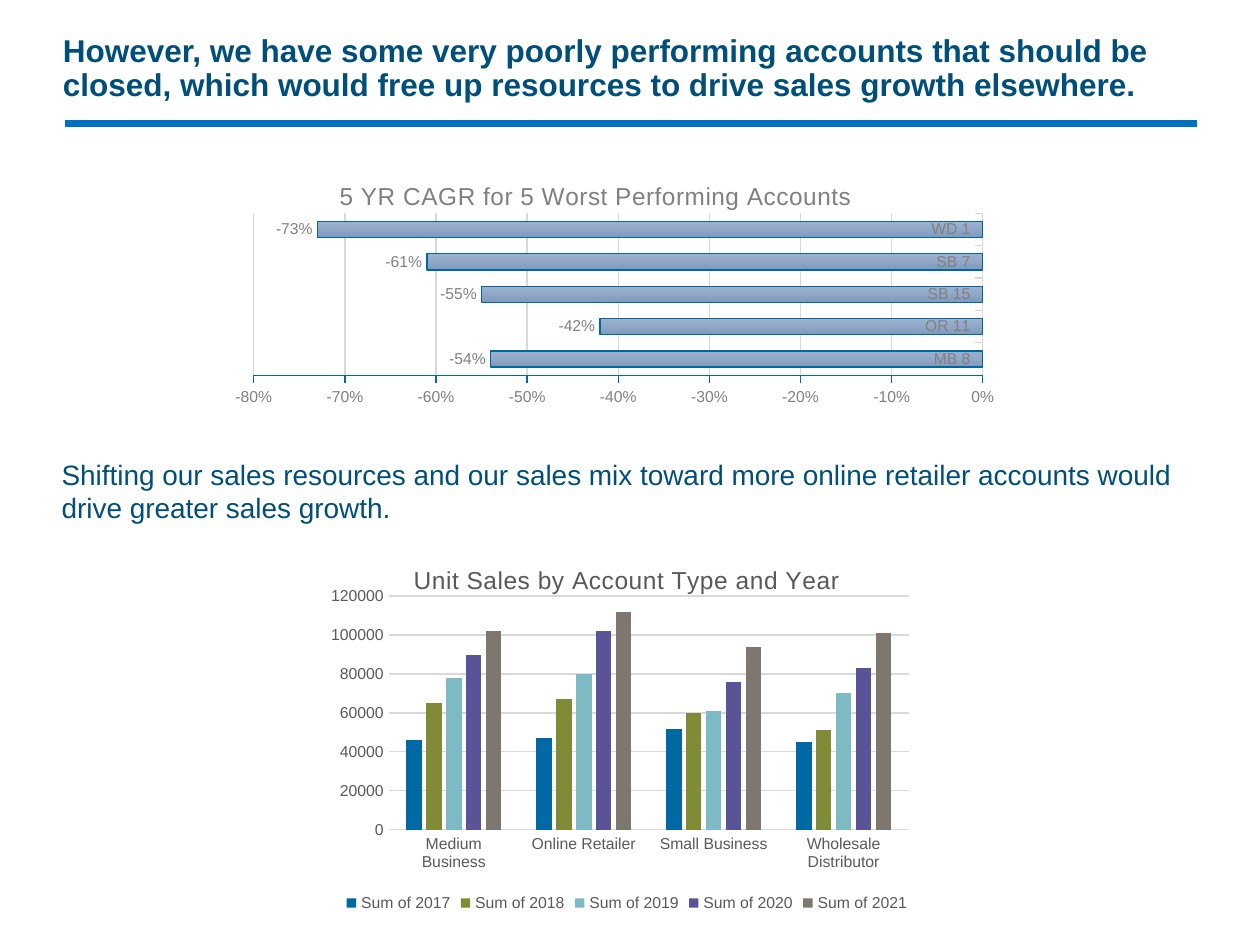
import copy

import lxml.etree
import pptx
import pptx.chart.data
import pptx.dml.color
import pptx.enum.chart
import pptx.enum.shapes
import pptx.enum.text
import pptx.oxml.ns
import pptx.util

Inches, Pt = pptx.util.Inches, pptx.util.Pt
qn = pptx.oxml.ns.qn
kinds = pptx.enum.chart

# Content
TEXTS = [
    dict(text="However, we have some very poorly performing accounts that should be closed, "
              "which would free up resources to drive sales growth elsewhere.",
         at=(0.5, 0.29, 9, 0.52), style="heading", inset=0, anchor="MIDDLE", spacing=0.9),
    dict(text="Shifting our sales resources and our sales mix toward more online retailer "
              "accounts would drive greater sales growth.",
         at=(0.39, 3.58, 9.21, 1.35), style="body", inset=0.1, anchor="TOP", spacing=1.0),
]
CAGR = dict(
    title="5 YR CAGR for 5 Worst Performing Accounts",
    kind="BAR_CLUSTERED", at=(1.52, 1.26, 6.37, 2.32), plot=(0.078, 0.187, 0.914, 0.554),
    categories=["MB 8", "OR 11", "SB 15", "SB 7", "WD 1"],
    series={"Series 1": [-0.54, -0.42, -0.55, -0.61, -0.73]},
    scale=dict(minimum_scale=-0.8, maximum_scale=0, major_unit=0.1),
    bars=dict(gap_width=100, overlap=0), tick="OUTSIDE", format="0%", ink="gray")
SALES = dict(
    title="Unit Sales by Account Type and Year",
    kind="COLUMN_CLUSTERED", at=(2.35, 4.33, 5.25, 2.95), plot=(0.14, 0.136, 0.786, 0.629),
    categories=["Medium Business", "Online Retailer", "Small Business", "Wholesale Distributor"],
    series={
        "Sum of 2017": [46000, 47000, 52000, 45000],
        "Sum of 2018": [65000, 67000, 60000, 51000],
        "Sum of 2019": [78000, 80000, 61000, 70000],
        "Sum of 2020": [90000, 102000, 76000, 83000],
        "Sum of 2021": [102000, 112000, 94000, 101000],
    },
    scale=dict(minimum_scale=0, maximum_scale=120000, major_unit=20000),
    bars=dict(gap_width=219, overlap=-27), tick="NONE", format="General", ink="dark")

THEME = dict(
    font="Arial",
    colors=dict(navy="004F7A", rule="0070C0", gray="808080", dark="595959",
                grid="D9D9D9", axis="0069A3", edge="00679F"),
    series=["0069A3", "818A37", "7DBAC4", "5A5397", "7E776F"],
    gradient=["9DB2D0", "90A7C6", "7C99BF"],
    sizes=dict(heading=18, body=16, title=14, label=9),
)


def assign(target, values):
    for name, value in values.items():
        setattr(target, name, value)


def rgb(name):
    return pptx.dml.color.RGBColor.from_string(THEME["colors"].get(name, name))


def style_font(font, size, color, bold=False):
    assign(font, dict(name=THEME["font"], size=Pt(THEME["sizes"][size]), bold=bold))
    font.color.rgb = rgb(color)


def style_line(line, color, width=0.75):
    line.color.rgb = rgb(color)
    line.width = Pt(width)


def set_layout(parent, index, values):
    """Place a chart part by fractions of the chart area."""
    for old in parent.findall(qn("c:layout")):
        parent.remove(old)
    layout = lxml.etree.Element(qn("c:layout"))
    manual = lxml.etree.SubElement(layout, qn("c:manualLayout"))
    for name, value in values.items():
        lxml.etree.SubElement(manual, qn("c:" + name)).set("val", str(value))
    parent.insert(index, layout)


def add_text(page, item):
    box = page.shapes.add_textbox(*map(Inches, item["at"]))
    frame = box.text_frame
    assign(frame, dict(
        word_wrap=True, margin_left=Inches(item["inset"]), margin_right=Inches(item["inset"]),
        vertical_anchor=getattr(pptx.enum.text.MSO_ANCHOR, item["anchor"])))
    para = frame.paragraphs[0]
    para.line_spacing = item["spacing"]
    span = para.add_run()
    span.text = item["text"]
    style_font(span.font, item["style"], "navy", item["style"] == "heading")


def add_chart(page, item):
    data = pptx.chart.data.CategoryChartData(number_format=item["format"])
    data.categories = item["categories"]
    for name, values in item["series"].items():
        data.add_series(name, values)
    kind = getattr(kinds.XL_CHART_TYPE, item["kind"])
    chart = page.shapes.add_chart(kind, *map(Inches, item["at"]), data).chart
    style_font(chart.font, "label", item["ink"])
    chart.has_legend = False

    # Title
    para = chart.chart_title.text_frame.paragraphs[0]
    span = para.add_run()
    span.text = item["title"]
    style_font(span.font, "title", item["ink"])
    span.font._element.set("spc", "20")

    # Axes and plot area
    for axis in (chart.category_axis, chart.value_axis):
        assign(axis, dict(major_tick_mark=getattr(kinds.XL_TICK_MARK, item["tick"]),
                          minor_tick_mark=kinds.XL_TICK_MARK.NONE))
        style_font(axis.tick_labels.font, "label", item["ink"])
        style_line(axis.format.line, "grid")
    axis = chart.value_axis
    assign(axis, dict(item["scale"], has_major_gridlines=True))
    style_line(axis.major_gridlines.format.line, "grid")
    assign(axis.tick_labels, dict(number_format=item["format"], number_format_is_linked=False))
    left, top, width, height = item["plot"]
    set_layout(chart._chartSpace.chart.plotArea, 0, dict(
        layoutTarget="inner", xMode="edge", yMode="edge", x=left, y=top, w=width, h=height))

    # Bars
    plot = chart.plots[0]
    assign(plot, dict(item["bars"], vary_by_categories=False))
    for series, color in zip(plot.series, THEME["series"]):
        series.invert_if_negative = False
        series.format.fill.solid()
        series.format.fill.fore_color.rgb = rgb(color)
    return chart


def finish_cagr(chart):
    """Gradient bars, value labels and a lowered title."""
    series = chart.plots[0].series[0]
    fill = series.format.fill
    fill.gradient()
    fill.gradient_angle = 270
    stops = next(series._element.iter(qn("a:gsLst")))
    stops.append(copy.deepcopy(stops[0]))
    for index, (stop, color) in enumerate(zip(fill.gradient_stops, THEME["gradient"])):
        stop.color.rgb = rgb(color)
        stop.position = index / 2
    style_line(series.format.line, "edge")
    style_line(chart.value_axis.format.line, "axis")
    labels = series.data_labels
    assign(labels, dict(show_value=True, number_format="0%", number_format_is_linked=False,
                        position=kinds.XL_LABEL_POSITION.OUTSIDE_END))
    style_font(labels.font, "label", "gray")
    set_layout(chart.chart_title._element, 1, dict(xMode="edge", yMode="edge", x=0.18, y=0.06))


def finish_sales(chart):
    """Legend below, no value axis line."""
    chart.value_axis.format.line.fill.background()
    chart.has_legend = True
    assign(chart.legend, dict(position=kinds.XL_LEGEND_POSITION.BOTTOM, include_in_layout=False))
    style_font(chart.legend.font, "label", "dark")


def main():
    deck = pptx.Presentation()
    assign(deck, dict(slide_width=Inches(10), slide_height=Inches(7.5)))
    page = deck.slides.add_slide(deck.slide_layouts[6])

    # Rule under the heading
    rule = page.shapes.add_connector(pptx.enum.shapes.MSO_CONNECTOR.STRAIGHT,
                                     *map(Inches, (0.52, 0.98, 9.5, 0.98)))
    style_line(rule.line, "rule", 4.5)
    lxml.etree.SubElement(rule._element.spPr, qn("a:effectLst"))

    for item in TEXTS:
        add_text(page, item)
    finish_cagr(add_chart(page, CAGR))
    finish_sales(add_chart(page, SALES))
    deck.save("out.pptx")


if __name__ == "__main__":
    main()
